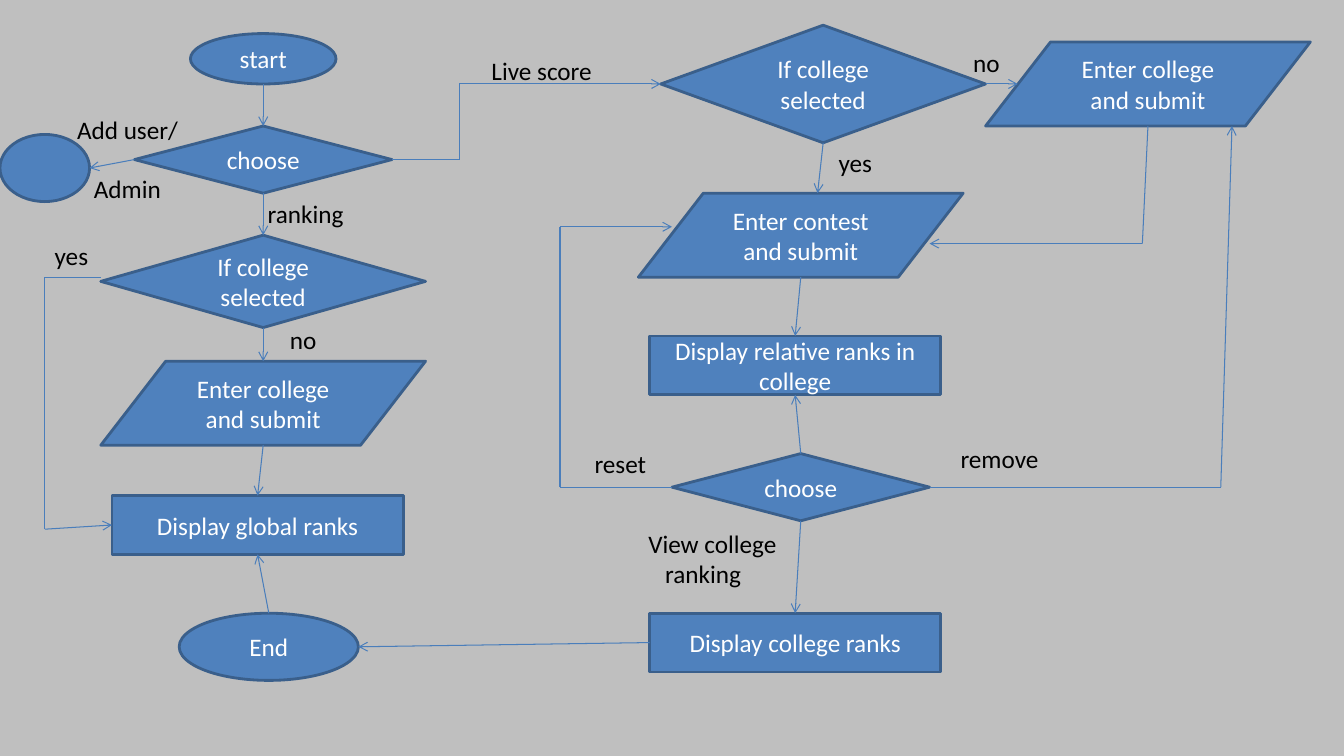
from pptx import Presentation
from pptx.dml.color import RGBColor
from pptx.enum.shapes import MSO_CONNECTOR as Connector, MSO_SHAPE as Shape
from pptx.enum.text import MSO_ANCHOR as Anchor, PP_ALIGN as Align
from pptx.oxml import parse_xml
from pptx.oxml.ns import nsdecls
from pptx.util import Pt

TOP, LEFT, BOTTOM, RIGHT = range(4)


def paint(target, color):
    if hasattr(target, "solid"):
        target.solid()
        target = target.fore_color
    target.rgb = RGBColor.from_string(color)


def write(frame, text, color="000000", align=Align.LEFT, anchor=Anchor.TOP, indent=0, gap=0):
    frame.word_wrap = True
    frame.vertical_anchor = anchor
    for number, line in enumerate(text.split("\n")):
        paragraph = frame.add_paragraph() if number else frame.paragraphs[0]
        if number and indent:
            paragraph._p.get_or_add_pPr().set("marL", str(Pt(indent)))
        if number and gap:
            paragraph.space_before = Pt(gap)
        paragraph.alignment = align
        paragraph.font.size = Pt(18)
        paragraph.font.name = "Calibri"
        paint(paragraph.font.color, color)
        run = paragraph.add_run()
        run.text = line
        run.font.size = Pt(18)
        run.font.name = "Calibri"
        paint(run.font.color, color)


prs = Presentation()
prs.slide_width, prs.slide_height = Pt(960), Pt(540)
slide = prs.slides.add_slide(prs.slide_layouts[6])
paint(slide.background.fill, "BFBFBF")

steps = {
    "start": (Shape.OVAL, 136, 24, 104, 36, "start"),
    "admin": (Shape.OVAL, 0, 96, 64, 48, ""),
    "menu": (Shape.FLOWCHART_DECISION, 96, 90, 184, 48, "choose"),
    "ranking college": (Shape.FLOWCHART_DECISION, 72, 168, 232, 66, "If college selected"),
    "ranking entry": (Shape.FLOWCHART_DATA, 72, 258, 232, 60, "Enter college and submit"),
    "global ranks": (Shape.RECTANGLE, 80, 354, 208, 42, "Display global ranks"),
    "end": (Shape.OVAL, 128, 438, 128, 48, "End"),
    "live college": (Shape.FLOWCHART_DECISION, 472, 18, 232, 84, "If college selected"),
    "live entry": (Shape.FLOWCHART_DATA, 704, 30, 232, 60, "Enter college and submit"),
    "contest entry": (Shape.FLOWCHART_DATA, 456, 138, 232, 60, "Enter contest and submit"),
    "relative ranks": (Shape.RECTANGLE, 464, 240, 208, 42, "Display relative ranks in college"),
    "live menu": (Shape.FLOWCHART_DECISION, 480, 324, 184, 48, "choose"),
    "college ranks": (Shape.RECTANGLE, 464, 438, 208, 42, "Display college ranks"),
}
nodes = {}
for step, (kind, left, top, width, height, text) in steps.items():
    node = slide.shapes.add_shape(kind, Pt(left), Pt(top), Pt(width), Pt(height))
    node.shadow.inherit = False
    paint(node.fill, "4F81BD")
    paint(node.line.fill, "3A5F8B")
    node.line.width = Pt(2)
    if text:
        write(node.text_frame, text, color="FFFFFF", align=Align.CENTER, anchor=Anchor.MIDDLE)
    nodes[step] = node

routes = [
    [(188, 60), ("menu", TOP)],
    [("menu", LEFT), (64, 120)],
    [("menu", BOTTOM), ("ranking college", TOP)],
    [("ranking college", BOTTOM), (188, 258)],
    [(188, 318), ("global ranks", TOP)],
    [(72, 198), (32, 198), (32, 378), ("global ranks", LEFT)],
    [(192, 438), ("global ranks", BOTTOM)],
    [("menu", RIGHT), (328, 114), (328, 60), ("live college", LEFT)],
    [("live college", RIGHT), (727, 60)],
    [("live college", BOTTOM), (584, 138)],
    [(820, 90), (816, 174), (664, 174)],
    [(572, 198), ("relative ranks", TOP)],
    [("live menu", TOP), ("relative ranks", BOTTOM)],
    [("live menu", LEFT), (400, 348), (400, 162), (480, 162)],
    [("live menu", RIGHT), (872, 348), (880, 90)],
    [("live menu", BOTTOM), ("college ranks", TOP)],
    [("college ranks", LEFT), (256, 462)],
]
for route in routes:
    for begin, end in zip(route, route[1:]):
        (x1, y1), (x2, y2) = [(0, 0) if point[0] in nodes else point for point in (begin, end)]
        flow = slide.shapes.add_connector(Connector.STRAIGHT, Pt(x1), Pt(y1), Pt(x2), Pt(y2))
        if begin[0] in nodes:
            flow.begin_connect(nodes[begin[0]], begin[1])
        if end[0] in nodes:
            flow.end_connect(nodes[end[0]], end[1])
        paint(flow.line.fill, "4A7EBB")
        flow.line.width = Pt(0.75)
        if end is route[-1]:
            flow.line._get_or_add_ln().append(parse_xml(f'<a:tailEnd {nsdecls("a")} type="arrow"/>'))
        flow._element.spPr.append(parse_xml(f'<a:effectLst {nsdecls("a")}/>'))

labels = [
    ("Add user/\nAdmin", 48, 78, 128, 72, {"indent": 12, "gap": 21}),
    ("ranking", 184, 138, 120, 29, {}),
    ("yes", 32, 168, 64, 29, {}),
    ("no", 200, 228, 64, 29, {}),
    ("Live score", 344, 36, 136, 29, {}),
    ("no", 688, 30, 64, 29, {}),
    ("yes", 592, 102, 64, 29, {}),
    ("reset", 417.6, 316.8, 80, 29, {}),
    ("remove", 679, 313.2, 104, 29, {}),
    ("View college\nranking", 456, 374, 160, 50, {"indent": 12}),
]
for text, left, top, width, height, layout in labels:
    label = slide.shapes.add_textbox(Pt(left), Pt(top), Pt(width), Pt(height))
    write(label.text_frame, text, **layout)

prs.save("out.pptx")
